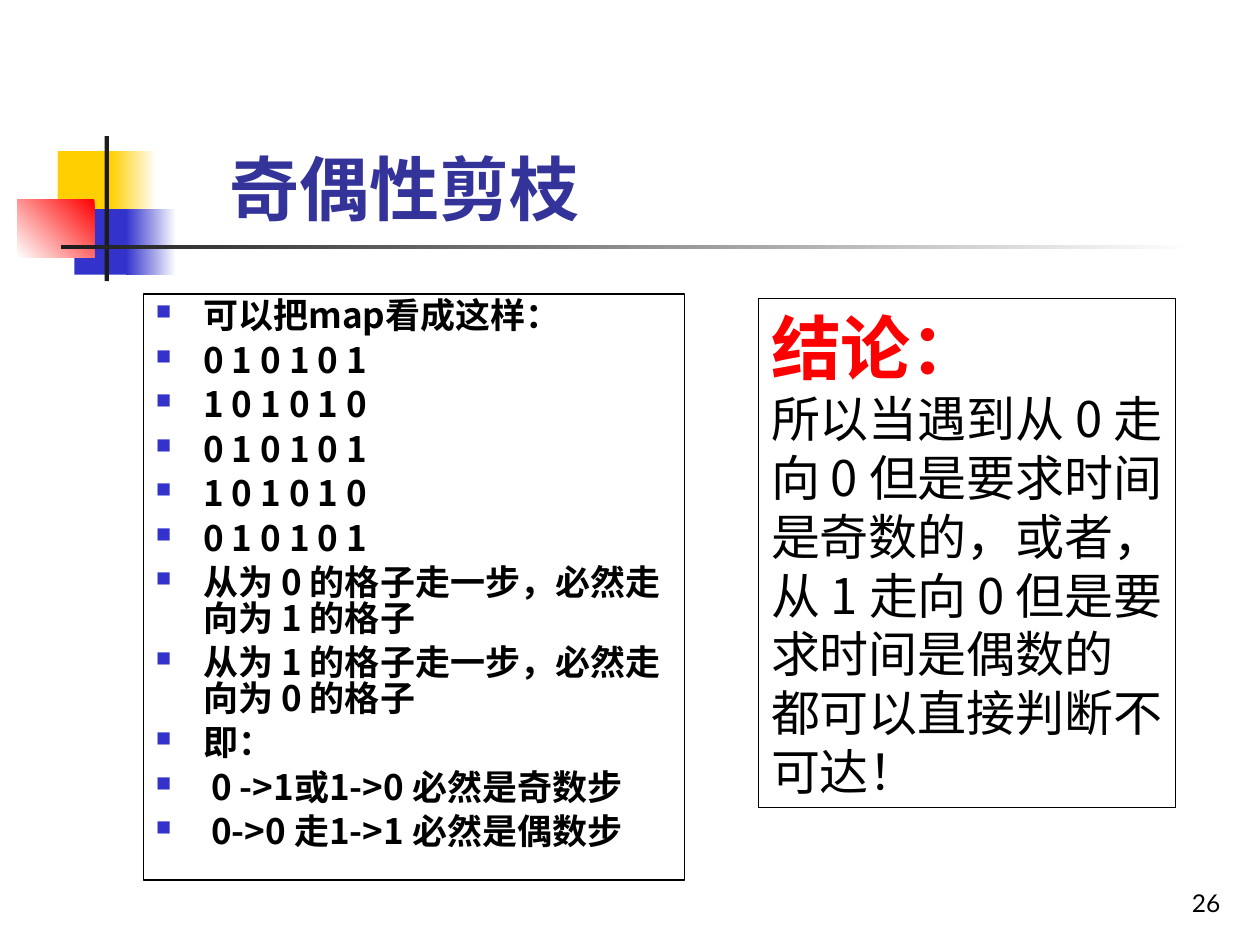
from lxml import etree
from pptx import Presentation
from pptx.dml.color import RGBColor
from pptx.enum.shapes import MSO_SHAPE
from pptx.enum.text import MSO_ANCHOR, MSO_AUTO_SIZE, PP_ALIGN
from pptx.oxml.ns import qn
from pptx.util import Pt

RECTANGLE = MSO_SHAPE.RECTANGLE
LEFT, CENTER, RIGHT = PP_ALIGN.LEFT, PP_ALIGN.CENTER, PP_ALIGN.RIGHT
TOP, BOTTOM = MSO_ANCHOR.TOP, MSO_ANCHOR.BOTTOM
TITLE_ONLY = 5

LATIN, CJK = "Lato", "Noto Sans CJK SC"
COLORS = {
    "white": "FFFFFF",
    "black": "000000",
    "yellow": "FFCF01",
    "blue": "3333CC",
    "red": "FF0000",
    "bar": "1C1C1C",
    "title": "333399",
}

GRID_ROWS = ["0 1 0 1 0 1", "1 0 1 0 1 0"]
POINTS = [
    "可以把map看成这样：",
    *[GRID_ROWS[row % 2] for row in range(5)],
    "从为 0 的格子走一步，必然走向为 1 的格子",
    "从为 1 的格子走一步，必然走向为 0 的格子",
    "即：",
    " 0 ->1或1->0 必然是奇数步",
    " 0->0 走1->1 必然是偶数步",
]
CONCLUSION = (
    "所以当遇到从 0 走向 0 但是要求时间是奇数的，或者， "
    "从 1 走向 0 但是要求时间是偶数的 都可以直接判断不可达！"
)


def rgb(name):
    return RGBColor.from_string(COLORS[name])


def add_block(page, left, top, width, height, start, end=None, angle=180):
    """Add a borderless rectangle, with a gradient when an end colour is given."""
    block = page.shapes.add_shape(RECTANGLE, Pt(left), Pt(top), Pt(width), Pt(height))
    block.shadow.inherit = False
    block.line.fill.background()
    if end is None:
        block.fill.solid()
        block.fill.fore_color.rgb = rgb(start)
        return
    block.fill.gradient()
    block.fill.gradient_angle = angle
    for stop, name in zip(block.fill.gradient_stops, (start, end)):
        stop.color.rgb = rgb(name)


def add_box(page, left, top, width, height, anchor=TOP, border=False):
    box = page.shapes.add_textbox(Pt(left), Pt(top), Pt(width), Pt(height))
    if border:
        box.line.color.rgb = rgb("black")
        box.line.width = Pt(0.75)
    frame = box.text_frame
    frame.word_wrap = True
    frame.vertical_anchor = anchor
    return frame


def add_bullet(para):
    """Give the paragraph a small blue square and a hanging indent."""
    properties = para._p.get_or_add_pPr()
    properties.set("marL", str(Pt(27)))
    properties.set("indent", str(-Pt(27)))
    color = etree.SubElement(properties, qn("a:buClr"))
    etree.SubElement(color, qn("a:srgbClr"), val=COLORS["blue"])
    etree.SubElement(properties, qn("a:buSzPct"), val="60000")
    etree.SubElement(properties, qn("a:buChar"), char="■")


def write(frame, text, size, color="black", font=CJK, bold=False, align=LEFT,
          bullet=False, line_spacing=None, space_before=0):
    """Write one paragraph, using the empty first paragraph when there is one."""
    first = not frame.text
    para = frame.paragraphs[0] if first else frame.add_paragraph()
    if bullet:
        add_bullet(para)
    para.alignment = align
    para.line_spacing = line_spacing
    para.space_before = Pt(0 if first else space_before)
    span = para.add_run()
    span.text = text
    span.font.size = Pt(size)
    span.font.bold = bold
    span.font.color.rgb = rgb(color)
    span.font.name = font
    etree.SubElement(span._r.get_or_add_rPr(), qn("a:ea"), typeface=CJK)


def add_decoration(page):
    add_block(page, 33, 86.4, 35, 37.4, "yellow")
    add_block(page, 63.4, 86.4, 26, 37.4, "white", "yellow")
    add_block(page, 42.5, 119.5, 33, 37.4, "blue")
    add_block(page, 72, 119.5, 28.8, 37.4, "white", "blue")
    add_block(page, 10, 113.8, 44, 33.1, "red", "white", angle=225)
    add_block(page, 59.8, 77.8, 2.4, 82.8, "bar")
    add_block(page, 34.6, 140, 648, 2.5, "white", "bar")


def add_title(page, text):
    title = page.shapes.title
    title.left, title.top, title.width, title.height = Pt(105), Pt(74.2), Pt(252), Pt(60.5)
    frame = title.text_frame
    frame.word_wrap = True
    frame.auto_size = MSO_AUTO_SIZE.NONE
    frame.vertical_anchor = BOTTOM
    write(frame, text, 40, "title", LATIN, bold=True, align=CENTER)


def main():
    deck = Presentation()
    deck.slide_width, deck.slide_height = Pt(720), Pt(540)
    page = deck.slides.add_slide(deck.slide_layouts[TITLE_ONLY])

    # Corner squares, rules and title
    add_decoration(page)
    add_title(page, "奇偶性剪枝")

    # Parity grid and its steps
    steps = add_box(page, 82, 168, 309, 334.8, border=True)
    for point in POINTS:
        write(steps, point, 20, bold=True, bullet=True, line_spacing=0.85, space_before=5)

    # Conclusion
    conclusion = add_box(page, 433.5, 170.5, 238.3, 291, border=True)
    write(conclusion, "结论：", 40, "red", bold=True)
    write(conclusion, CONCLUSION, 28)

    # Page number
    number = add_box(page, 554.4, 491.8, 150, 36, anchor=BOTTOM)
    write(number, "26", 14, font=LATIN, align=RIGHT)

    deck.save("out.pptx")


if __name__ == "__main__":
    main()
